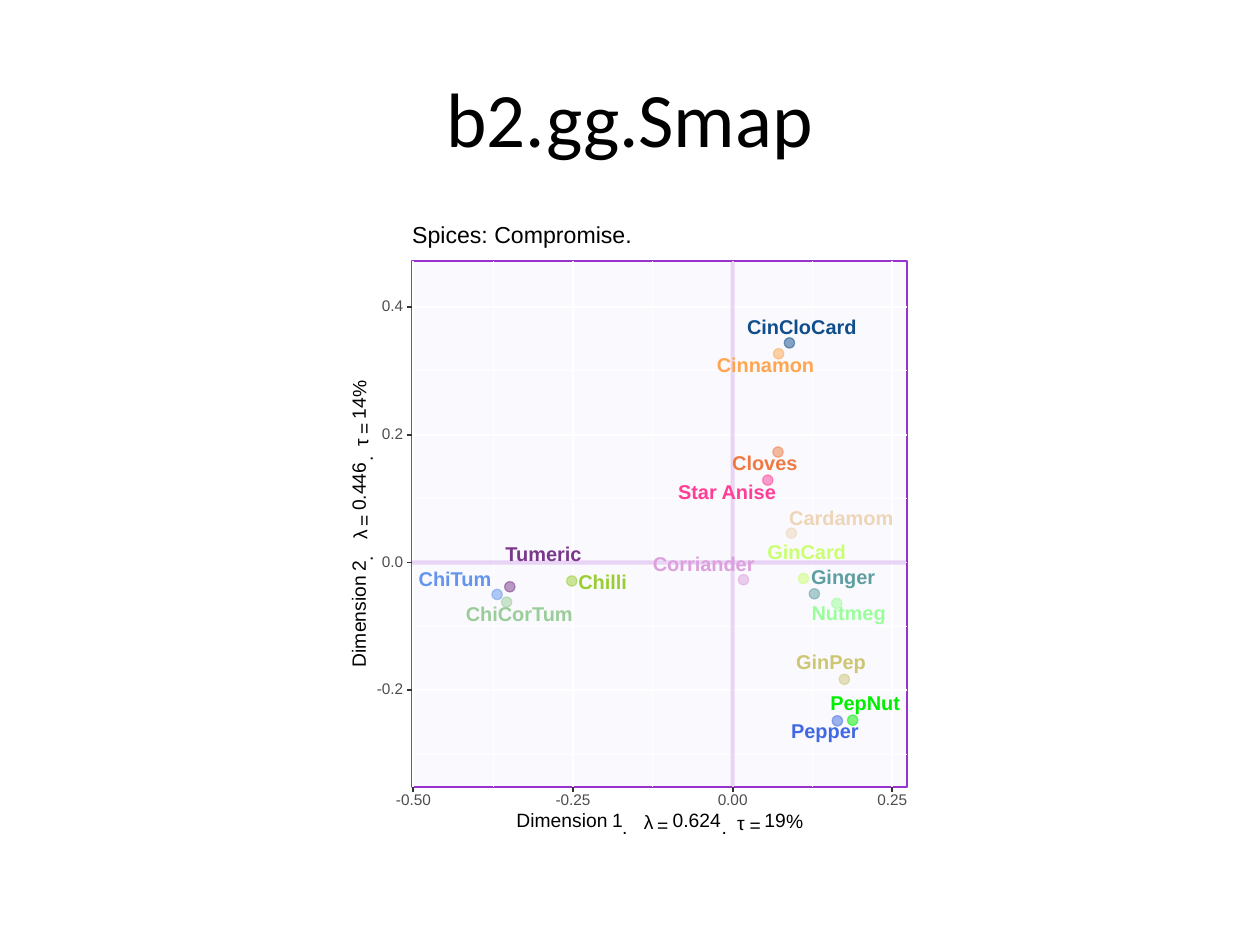
from lxml import etree
from pptx import Presentation
from pptx.dml.color import RGBColor
from pptx.enum.shapes import MSO_CONNECTOR, MSO_SHAPE
from pptx.enum.text import MSO_ANCHOR, PP_ALIGN
from pptx.oxml.ns import qn
from pptx.util import Cm, Pt

BLACK = RGBColor(0x00, 0x00, 0x00)
WHITE = RGBColor(0xFF, 0xFF, 0xFF)
LAVENDER = RGBColor(0xE6, 0xE6, 0xFA)
ORCHID = RGBColor(0x99, 0x32, 0xCC)
TICK_TEXT = RGBColor(0x4D, 0x4D, 0x4D)
TICK_LINE = RGBColor(0x33, 0x33, 0x33)

# Plot panel in cm; axis values are in hundredths
LEFT, TOP, WIDTH, HEIGHT = 8.31, 5.26, 9.98, 10.6
RIGHT, BOTTOM = LEFT + WIDTH, TOP + HEIGHT
ZERO_X, ZERO_Y, SCALE = 14.77, 11.34, 0.1287
X_TICKS, X_MINOR = (-50, -25, 0, 25), (-37.5, -12.5, 12.5)
Y_TICKS, Y_MINOR = (-20, 0, 20, 40), (-30, -10, 10, 30)
TICK, DOT, TEXT_H = 0.1, 0.21, 0.3
SLACK = 0.08  # extra box width that keeps each text on one line

# Name, colour, x, y, label left, label width, label middle
SPICES = [
    ("Tumeric", RGBColor(0x7A, 0x37, 0x8B), -34.9, -3.8, 10.19, 1.55, 11.2),
    ("Chilli", RGBColor(0x9A, 0xCD, 0x32), -25.2, -2.9, 11.66, 0.99, 11.76),
    ("Nutmeg", RGBColor(0x9A, 0xFF, 0x9A), 16.3, -6.4, 16.36, 1.5, 12.39),
    ("Corriander", RGBColor(0xDD, 0xA0, 0xDD), 1.7, -2.7, 13.16, 2.06, 11.4),
    ("Pepper", RGBColor(0x41, 0x69, 0xE1), 16.4, -24.8, 15.95, 1.37, 14.76),
    ("Cloves", RGBColor(0xEE, 0x79, 0x42), 7.1, 17.3, 14.76, 1.32, 9.37),
    ("Cinnamon", RGBColor(0xFF, 0xA5, 0x4F), 7.2, 32.7, 14.45, 1.96, 7.39),
    ("Star Anise", RGBColor(0xFF, 0x3E, 0x96), 5.5, 12.9, 13.67, 1.98, 9.94),
    ("Cardamom", RGBColor(0xEE, 0xD5, 0xB7), 9.2, 4.6, 15.91, 2.11, 10.48),
    ("Ginger", RGBColor(0x5F, 0x9E, 0xA0), 12.8, -4.9, 16.35, 1.3, 11.66),
    ("ChiTum", RGBColor(0x64, 0x95, 0xED), -36.9, -5, 8.44, 1.5, 11.71),
    ("GinCard", RGBColor(0xCA, 0xFF, 0x70), 11.1, -2.5, 15.47, 1.57, 11.15),
    ("ChiCorTum", RGBColor(0x9B, 0xCD, 0x9B), -35.4, -6.2, 9.39, 2.18, 12.41),
    ("CinCloCard", RGBColor(0x10, 0x4E, 0x8B), 8.9, 34.4, 15.06, 2.21, 6.63),
    ("PepNut", RGBColor(0x00, 0xEE, 0x00), 18.8, -24.7, 16.74, 1.4, 14.2),
    ("GinPep", RGBColor(0xCD, 0xC6, 0x73), 17.5, -18.3, 16.05, 1.4, 13.37),
]

# Offset along the axis, width and drop of each piece of an axis title
TITLE_PIECES = [
    (0, 1.93, 0), (1.93, 0.2, 0), (2.13, 0.2, 0.14), (2.57, 0.2, 0.03),
    (2.84, 0.2, 0.1), (3.15, 0.97, 0), (4.14, 0.1, 0.14), (4.45, 0.18, 0.05),
    (4.7, 0.2, 0.1), (5, 0.43, 0), (5.44, 0.36, 0.01),
]


def x_pos(value):
    return ZERO_X + SCALE * value


def y_pos(value):
    return ZERO_Y - SCALE * value


def set_alpha(fill_parent, percent):
    color = fill_parent.find(qn("a:solidFill"))[0]
    etree.SubElement(color, qn("a:alpha")).set("val", str(percent * 1000))


def add_line(s, x1, y1, x2, y2, color, width, alpha=100):
    line = s.shapes.add_connector(
        MSO_CONNECTOR.STRAIGHT, Cm(x1), Cm(y1), Cm(x2), Cm(y2))
    line.line.color.rgb = color
    line.line.width = Pt(width)
    sp_pr = line._element.spPr
    etree.SubElement(sp_pr, qn("a:effectLst"))
    if alpha < 100:
        set_alpha(sp_pr.find(qn("a:ln")), alpha)


def add_filled(s, kind, x, y, w, h, fill, line, width, fill_alpha=100,
               line_alpha=100):
    sp = s.shapes.add_shape(kind, Cm(x), Cm(y), Cm(w), Cm(h))
    sp.shadow.inherit = False
    sp.fill.solid()
    sp.fill.fore_color.rgb = fill
    sp.line.color.rgb = line
    sp.line.width = Pt(width)
    sp_pr = sp._element.spPr
    if fill_alpha < 100:
        set_alpha(sp_pr, fill_alpha)
    if line_alpha < 100:
        set_alpha(sp_pr.find(qn("a:ln")), line_alpha)


def add_text(s, text, x, middle, w, size, color=BLACK, bold=False,
             align=PP_ALIGN.LEFT, h=TEXT_H, font="Arial", rotation=0,
             exact=True):
    sp = s.shapes.add_textbox(Cm(x), Cm(middle - h / 2), Cm(w), Cm(h))
    sp.rotation = rotation
    tf = sp.text_frame
    tf.margin_left = tf.margin_right = tf.margin_top = tf.margin_bottom = 0
    tf.word_wrap = False
    tf.vertical_anchor = MSO_ANCHOR.MIDDLE
    p = tf.paragraphs[0]
    p.text = text
    p.alignment = align
    if exact:
        p.line_spacing = Pt(size)
    r = p.runs[0]
    r.font.name = font
    r.font.size = Pt(size)
    r.font.bold = bold
    r.font.color.rgb = color


def add_grid(s, x_values, y_values, color, width, alpha=100):
    for value in y_values:
        add_line(s, LEFT, y_pos(value), RIGHT, y_pos(value), color, width, alpha)
    for value in x_values:
        add_line(s, x_pos(value), BOTTOM, x_pos(value), TOP, color, width, alpha)


def add_ticks(s):
    for value in Y_TICKS:
        y = y_pos(value)
        add_line(s, LEFT - TICK, y, LEFT, y, TICK_LINE, 1.07)
        add_text(s, f"{value / 100:.1f}", 7.53, y, 0.6, 8.8, TICK_TEXT,
                 align=PP_ALIGN.RIGHT)
    for value in X_TICKS:
        x = x_pos(value)
        add_line(s, x, BOTTOM + TICK, x, BOTTOM, TICK_LINE, 1.07)
        add_text(s, f"{value / 100:.2f}", x - 0.4, 16.14, 0.8, 8.8, TICK_TEXT,
                 align=PP_ALIGN.CENTER)


def add_axis_title(s, number, eigenvalue, share, start, base, vertical=False):
    words = ("Dimension ", number, ". ", "λ", "=", eigenvalue, ".", "τ", "=",
             share, "%")
    for word, (offset, piece_w, drop) in zip(words, TITLE_PIECES):
        w = piece_w + SLACK
        if vertical:
            middle = start - offset - w / 2
            add_text(s, word, base + drop - w / 2, middle, w, 11, rotation=270)
        else:
            add_text(s, word, start + offset, base + drop, w, 11)


def main():
    prs = Presentation()
    prs.slide_width, prs.slide_height = Cm(25.4), Cm(19.05)
    s = prs.slides.add_slide(prs.slide_layouts[6])

    # Slide title
    add_text(s, "b2.gg.Smap", 1.27, 2.35, 22.86, 44, align=PP_ALIGN.CENTER,
             h=3.18, font="Calibri", exact=False)

    # White plot area, panel, grid and zero lines
    add_filled(s, MSO_SHAPE.RECTANGLE, 1.27, 4.45, 22.86, 12.57,
               WHITE, WHITE, 0.75)
    add_filled(s, MSO_SHAPE.RECTANGLE, 6.93, 4.45, 11.56, 12.57,
               WHITE, WHITE, 1.07)
    add_filled(s, MSO_SHAPE.RECTANGLE, LEFT, TOP, WIDTH, HEIGHT,
               LAVENDER, ORCHID, 1.07, 20)
    add_grid(s, X_MINOR, Y_MINOR, WHITE, 0.53)
    add_grid(s, X_TICKS, Y_TICKS, WHITE, 1.07)
    add_grid(s, [0], [0], ORCHID, 2.35, 20)

    # Dots, then their labels on top
    for name, color, x, y, *label in SPICES:
        add_filled(s, MSO_SHAPE.OVAL, x_pos(x) - DOT / 2, y_pos(y) - DOT / 2,
                   DOT, DOT, color, color, 0.71, 50, 50)
    for name, color, x, y, left, w, middle in SPICES:
        add_text(s, name, left, middle, w + SLACK, 11.4, color, bold=True)

    # Axes and plot title
    add_ticks(s)
    add_axis_title(s, "1", "0.624", "19", 10.41, 16.57)
    add_axis_title(s, "2", "0.446", "14", 13.45, 7.26, vertical=True)
    add_text(s, "Spices: Compromise.", LEFT, 4.76, 4.42 + SLACK, 13.2)

    prs.save("out.pptx")


main()
